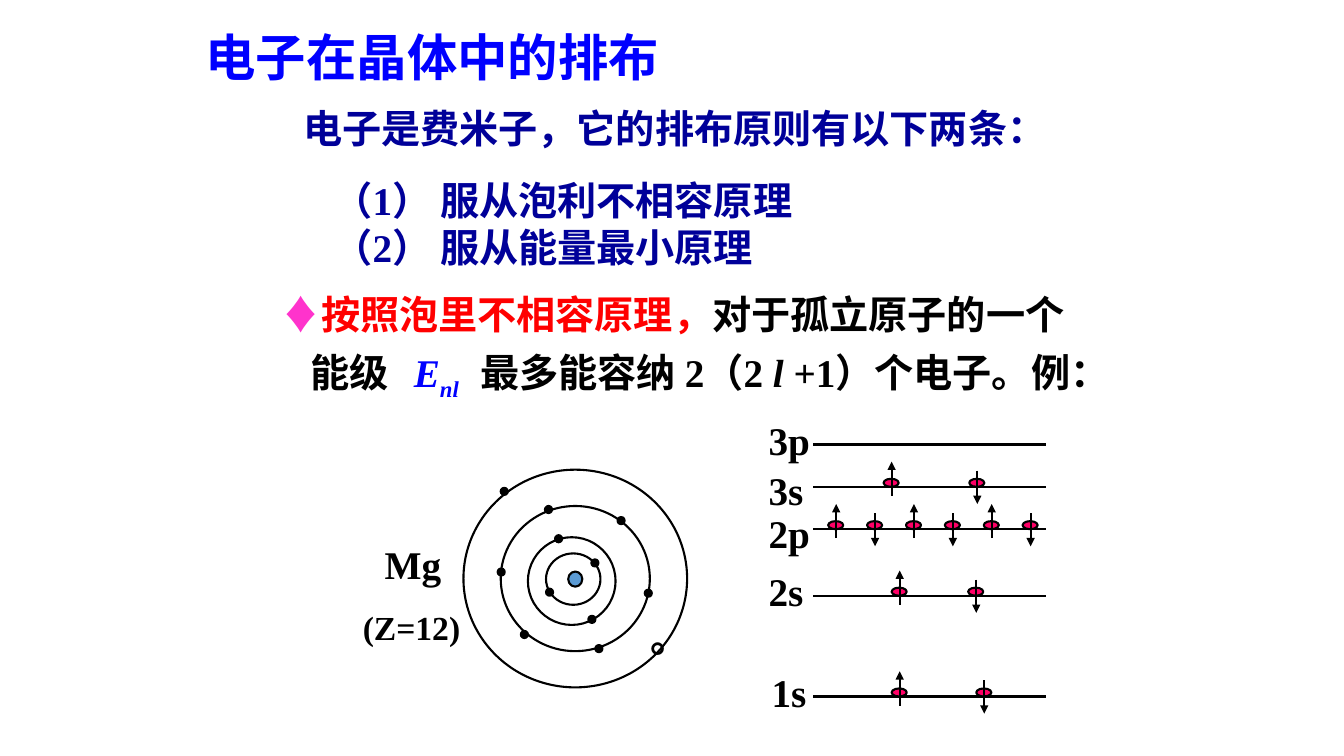
from lxml import etree
from pptx import Presentation, util as u
from pptx.dml.color import RGBColor
from pptx.enum import shapes, text
from pptx.oxml import ns

INK = {"title": "0000FF", "navy": "000099", "pink": "FF33CC", "red": "FF0000",
       "black": "000000", "core": "5B9BD5", "spin": "FF0066"}
ROMAN, SANS, JP = "Times New Roman", "Noto Sans CJK SC", "Noto Sans CJK JP"


def hue(key):
    """Return the colour named by key."""
    return RGBColor.from_string(INK[key])


def add(node, tag, **attrs):
    """Append an XML child with attributes and return it."""
    return etree.SubElement(node, ns.qn(tag), attrs)


def style(run, size, key, face=ROMAN, slant=False, base=None):
    """Format one bold run."""
    font = run.font
    font.size, font.bold, font.italic = u.Pt(size), True, slant
    font.name, font.color.rgb = face, hue(key)
    add(run._r.get_or_add_rPr(), "a:ea", typeface=JP if face == JP else SANS)
    if base:
        run._r.rPr.set("baseline", str(base))


def place(shape, box):
    """Move a text shape to its box and fix its frame."""
    shape.left, shape.top, shape.width, shape.height = map(u.Inches, box)
    frame = shape.text_frame
    frame.word_wrap = True
    frame.auto_size = text.MSO_AUTO_SIZE.NONE
    frame.vertical_anchor = text.MSO_ANCHOR.TOP
    return frame


def label(parts, box, words, size=28, key="black"):
    """Add a one-line text box."""
    frame = place(parts.add_textbox(0, 0, 0, 0), box)
    frame.text = words
    style(frame.paragraphs[0].runs[0], size, key)
    return frame


def oval(parts, box, fill=None):
    """Add an outlined ellipse, hollow unless a fill is named."""
    shape = parts.add_shape(shapes.MSO_SHAPE.OVAL, *map(u.Inches, box))
    shape.shadow.inherit = False
    shape.line.color.rgb, shape.line.width = hue("black"), u.Pt(1.5)
    if fill:
        shape.fill.solid()
        shape.fill.fore_color.rgb = hue(fill)
    else:
        shape.fill.background()


def line(parts, x1, y1, x2, y2, head=False):
    """Add a straight line, with an arrowhead at its end if asked."""
    link = parts.add_connector(shapes.MSO_CONNECTOR.STRAIGHT, *map(u.Inches, (x1, y1, x2, y2)))
    link.line.color.rgb, link.line.width = hue("black"), u.Pt(1.5)
    props = link.element.spPr
    if head:
        add(props.find(ns.qn("a:ln")), "a:tailEnd", type="triangle")
    add(props, "a:effectLst")


def heading(slide, box):
    """Fill the title."""
    frame = place(slide.shapes.title, box)
    frame.text = "电子在晶体中的排布"
    para = frame.paragraphs[0]
    para.alignment = text.PP_ALIGN.LEFT
    style(para.runs[0], 36, "title", JP)


def rules(slide, box):
    """Fill the body with the two principles."""
    frame = place(slide.placeholders[1], box)
    frame.text = "（1） 服从泡利不相容原理\n（2） 服从能量最小原理"
    for para in frame.paragraphs:
        props = para._p.get_or_add_pPr()
        props.set("marL", "0")
        props.set("indent", "0")
        add(props, "a:buNone")
        para.space_before = u.Pt(0)
        style(para.runs[0], 28, "navy")


def pauli(slide, box):
    """Write the statement on the capacity of a level."""
    frame = place(slide.shapes.add_textbox(0, 0, 0, 0), box)
    rows = [
        [("♦", "pink", "Arial"), ("按照泡里不相容原理，", "red"),
         ("对于孤立原子的一个", "black", SANS)],
        [("\t能级\t", "black", SANS), ("E", "title", ROMAN, True),
         ("nl", "title", ROMAN, True, -25000), ("\t最多能容纳 2（2 ", "black"),
         ("l", "black", ROMAN, True), (" +1）个电子。例：", "black")],
    ]
    for i, row in enumerate(rows):
        para = frame.add_paragraph() if i else frame.paragraphs[0]
        stops = add(para._p.get_or_add_pPr(), "a:tabLst")
        for stop in (0.28, 1.31, 1.97):
            add(stops, "a:tab", pos=str(u.Inches(stop)), algn="l")
        para.line_spacing = 1.2
        for words, *look in row:
            run = para.add_run()
            run.text = words
            style(run, 28, *look)


def atom(slide, box):
    """Draw the magnesium atom with its shells and electrons."""
    x, y, _, _ = box
    parts = slide.shapes.add_group_shape().shapes
    shells = [(1.74, 0.67, 0.87, 0.87), (1.92, 0.83, 0.54, 0.51),
              (1.47, 0.36, 1.48, 1.44), (1.1, 0, 2.22, 2.16)]
    for dx, dy, w, h in shells:
        oval(parts, (x + dx, y + dy, w, h))
    oval(parts, (x + 2.14, y + 1.01, 0.14, 0.15), "core")
    label(parts, (x + 2.86, y + 1.38, 0.7, 0.57), "。")
    dots = [(1.67, 1.6), (2.41, 1.74), (2.9, 1.19), (1.44, 0.98), (1.91, 0.36), (2.63, 0.47),
            (1.92, 1.18), (2.01, 0.65), (2.34, 1.45), (2.37, 0.89), (1.47, 0.18)]
    for dx, dy in dots:
        oval(parts, (x + dx, y + dy, 0.07, 0.07), "black")
    label(parts, (x + 0.22, y + 0.65, 0.86, 0.57), "Mg")
    frame = label(parts, (x - 0.1, y + 1.31, 1.37, 0.5), "(Z=12)", 24)
    frame.vertical_anchor = text.MSO_ANCHOR.MIDDLE
    frame.paragraphs[0].alignment = text.PP_ALIGN.CENTER


def levels(slide, box):
    """Draw the energy levels with electrons of alternating spin."""
    x, y, w, _ = box
    parts = slide.shapes.add_group_shape().shapes
    rows = [("3p", 0, 0, 0.33, []),
            ("3s", 0, 0.5, 0.75, [1.31, 2.16]),
            ("2p", 0, 0.92, 1.17, [0.76 + 0.386 * i for i in range(6)]),
            ("2s", 0, 1.5, 1.83, [1.39, 2.15]),
            ("1s", 0.03, 2.5, 2.83, [1.39, 2.23])]
    for name, dx, top, rise, spins in rows:
        base = y + rise
        line(parts, x + 0.54, base, x + w, base)
        label(parts, (x + dx, y + top, 0.77, 0.57), name)
        for i, spin in enumerate(spins):
            mid = x + spin
            oval(parts, (mid - 0.07, base - 0.08, 0.15, 0.08), "spin")
            start, end = (-0.16, 0.17) if i % 2 else (0.09, -0.25)
            line(parts, mid + 0.01, base + start, mid + 0.01, base + end, True)


def main():
    """Build and save the slide."""
    deck = Presentation()
    deck.slide_width, deck.slide_height = u.Inches(13.34), u.Inches(7.5)
    slide = deck.slides.add_slide(deck.slide_layouts[1])
    heading(slide, (1.94, 0.21, 5.59, 0.7))
    label(slide.shapes, (2.91, 0.99, 7.8, 0.57), "电子是费米子，它的排布原则有以下两条：", 28, "navy")
    rules(slide, (3.21, 1.7, 5.2, 1.04))
    pauli(slide, (2.7, 2.74, 9.17, 1.3))
    atom(slide, (3.5, 4.66, 3.45, 2.16))
    levels(slide, (7.53, 4.08, 2.85, 3.07))
    deck.save("out.pptx")


if __name__ == "__main__":
    main()
